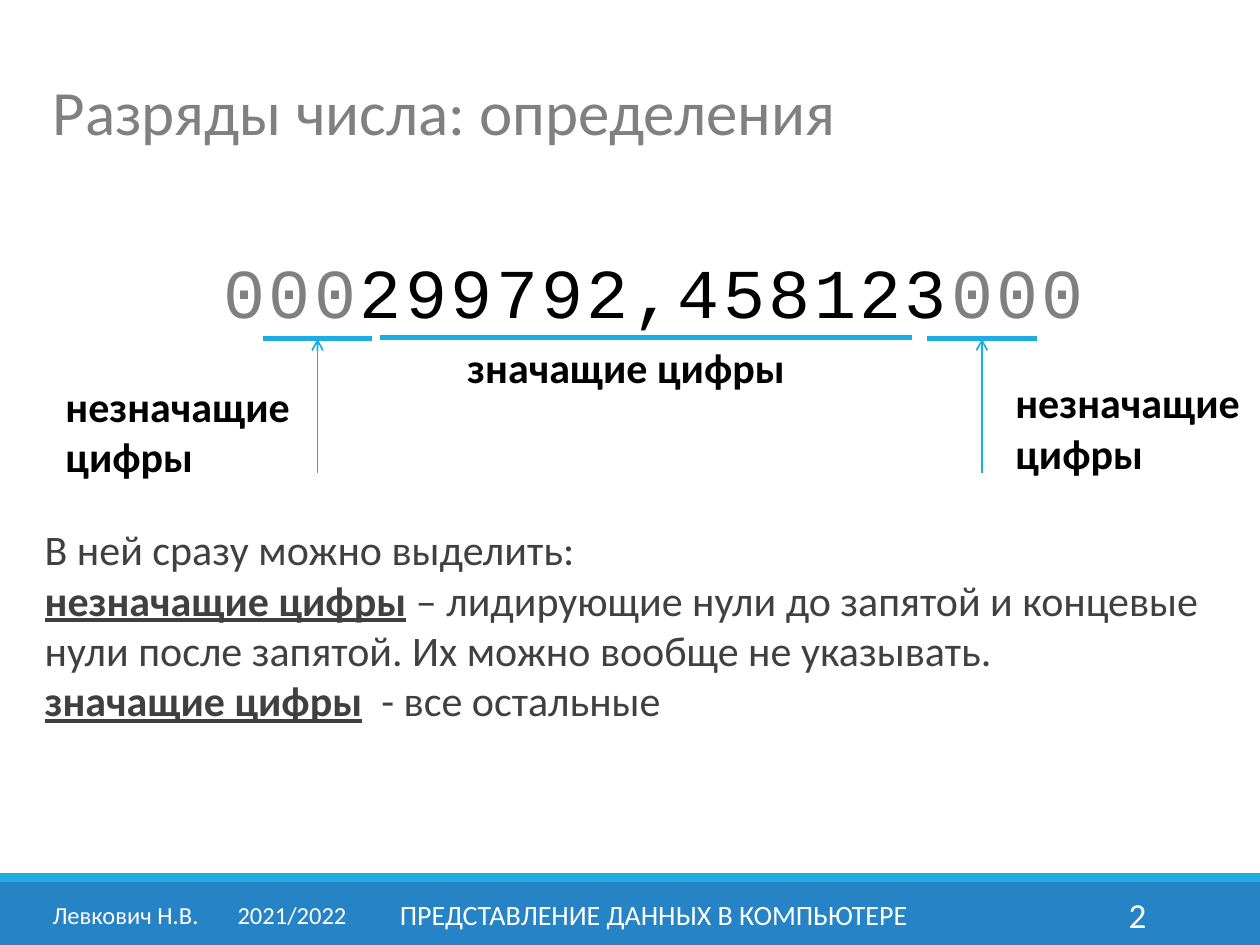
from lxml.etree import SubElement
from pptx import Presentation
from pptx.dml.color import RGBColor
from pptx.enum.shapes import MSO_CONNECTOR, MSO_SHAPE
from pptx.enum.text import MSO_ANCHOR, MSO_AUTO_SIZE, PP_ALIGN
from pptx.oxml.ns import qn
from pptx.util import Cm, Pt

ACCENT, BAND, GRAY, DARK = "1CADE4", "2683C6", "808080", "404040"
BLACK, WHITE = "000000", "FFFFFF"


def color(fmt, value):
    fmt.rgb = RGBColor.from_string(value)


def place(sp, x, y, w, h):
    sp.left, sp.top, sp.width, sp.height = Cm(x), Cm(y), Cm(w), Cm(h)


def set_frame(sp, anchor=MSO_ANCHOR.MIDDLE, side=0.25):
    tf = sp.text_frame
    tf.word_wrap = True
    tf.auto_size = MSO_AUTO_SIZE.NONE
    tf.vertical_anchor = anchor
    tf.margin_left = tf.margin_right = Cm(side)
    tf.margin_top = tf.margin_bottom = Cm(0.13)
    return tf


def style(p, size, hue, align=PP_ALIGN.LEFT, name="Calibri", bold=None):
    p.alignment = align
    p.font.size, p.font.name, p.font.bold = Pt(size), name, bold
    color(p.font.color, hue)


def add_text(s, x, y, w, h, text, size, hue, align=PP_ALIGN.LEFT,
             anchor=MSO_ANCHOR.MIDDLE, bold=None):
    tf = set_frame(s.shapes.add_textbox(Cm(x), Cm(y), Cm(w), Cm(h)), anchor)
    p = tf.paragraphs[0]
    p.add_run().text = text
    style(p, size, hue, align, bold=bold)
    return p


def add_bar(s, x, y, w, h, hue):
    sp = s.shapes.add_shape(MSO_SHAPE.RECTANGLE, Cm(x), Cm(y), Cm(w), Cm(h))
    sp.shadow.inherit = False
    sp.fill.solid()
    color(sp.fill.fore_color, hue)
    sp.line.fill.background()


def add_line(s, x1, y1, x2, y2, width, arrow=False):
    c = s.shapes.add_connector(MSO_CONNECTOR.STRAIGHT, Cm(x1), Cm(y1), Cm(x2), Cm(y2))
    c.line.width = Pt(width)
    color(c.line.color, ACCENT)
    if arrow:
        SubElement(c.line._get_or_add_ln(), qn("a:headEnd"), type="arrow")
    SubElement(c._element.spPr, qn("a:effectLst"))


def fill_title(s, x, y, w, h):
    sp = s.shapes.title
    place(sp, x, y, w, h)
    p = set_frame(sp).paragraphs[0]
    p.add_run().text = "Разряды числа: определения"
    p.line_spacing = 0.85
    style(p, 36, GRAY)


def draw_number(s, x, y, w, h):
    sp = s.shapes.add_textbox(Cm(x), Cm(y), Cm(w), Cm(h))
    p = set_frame(sp, side=0).paragraphs[0]
    style(p, 40, BLACK, PP_ALIGN.CENTER, "Courier New")
    for text, hue in (("000", GRAY), ("299792,458123", BLACK), ("000", GRAY)):
        r = p.add_run()
        r.text = text
        color(r.font.color, hue)
        r._r.get_or_add_rPr().set("spc", "200")


def draw_digits(s, x, y):
    draw_number(s, x + 0.9, y, 23.16, 2.7)
    base = y + 2.33
    for start, end in ((4.61, 6.79), (17.99, 20.2)):
        middle = x + (start + end) / 2
        add_line(s, x + start, base, x + end, base, 3)
        add_line(s, middle, base, middle, base + 2.7, 1, arrow=True)
    add_line(s, x + 6.97, base - 0.02, x + 17.69, base - 0.02, 3)
    labels = (
        (0.37, 3.04, 5.21, 2.31, "незначащие цифры"),
        (19.52, 2.97, 5.21, 2.31, "незначащие цифры"),
        (8.47, 2.26, 7.04, 1.27, "значащие цифры"),
    )
    for dx, dy, w, h, text in labels:
        add_text(s, x + dx, y + dy, w, h, text, 24, BLACK,
                 anchor=MSO_ANCHOR.TOP, bold=True)


def fill_definitions(s, x, y, w, h):
    sp = s.placeholders[1]
    place(sp, x, y, w, h)
    tf = set_frame(sp, side=0)
    items = (
        ("", "В ней сразу можно выделить:"),
        ("незначащие цифры", " – лидирующие нули до запятой и концевые нули "
                             "после запятой. Их можно вообще не указывать."),
        ("значащие цифры", "  - все остальные"),
    )
    for i, (term, meaning) in enumerate(items):
        p = tf.add_paragraph() if i else tf.paragraphs[0]
        if term:
            r = p.add_run()
            r.text = term
            r.font.bold = r.font.underline = True
        p.add_run().text = meaning
        p.space_before = Pt(0)
        style(p, 24, DARK)
        pPr = p._p.get_or_add_pPr()
        pPr.set("marL", "0")
        pPr.set("indent", "0")
        pPr.insert_element_before(pPr.makeelement(qn("a:buNone")), "a:tabLst", "a:defRPr")


def draw_footer(s, x, y, w, h):
    add_bar(s, x, y + 0.18, w, h - 0.18, BAND)
    add_bar(s, x, y, w, 0.18, ACCENT)
    top = y + 0.33
    p = add_text(s, x + 0.81, top, 6.63, 1.02, "Левкович Н.В.\t2021/2022", 14, WHITE)
    pPr = p._p.get_or_add_pPr()
    tabs = pPr.makeelement(qn("a:tabLst"))
    SubElement(tabs, qn("a:tab"), pos=str(Cm(3.73)), algn="l")
    pPr.insert_element_before(tabs, "a:defRPr")
    add_text(s, x + 7.67, top, 11.02, 1.02, "ПРЕДСТАВЛЕНИЕ ДАННЫХ В КОМПЬЮТЕРЕ",
             16, WHITE, PP_ALIGN.CENTER)
    add_text(s, x + 20.62, top, 2.74, 1.02, "2", 20, WHITE, PP_ALIGN.RIGHT)


def main():
    prs = Presentation()
    prs.slide_width, prs.slide_height = Cm(25.4), Cm(19.05)
    s = prs.slides.add_slide(prs.slide_layouts[1])
    s.background.fill.solid()
    color(s.background.fill.fore_color, WHITE)
    draw_footer(s, 0, 17.6, 25.4, 1.45)
    fill_title(s, 0.81, 1.32, 24, 2.03)
    draw_digits(s, 0.7, 4.5)
    fill_definitions(s, 0.9, 10.19, 23.6, 4.8)
    prs.save("out.pptx")


if __name__ == "__main__":
    main()
